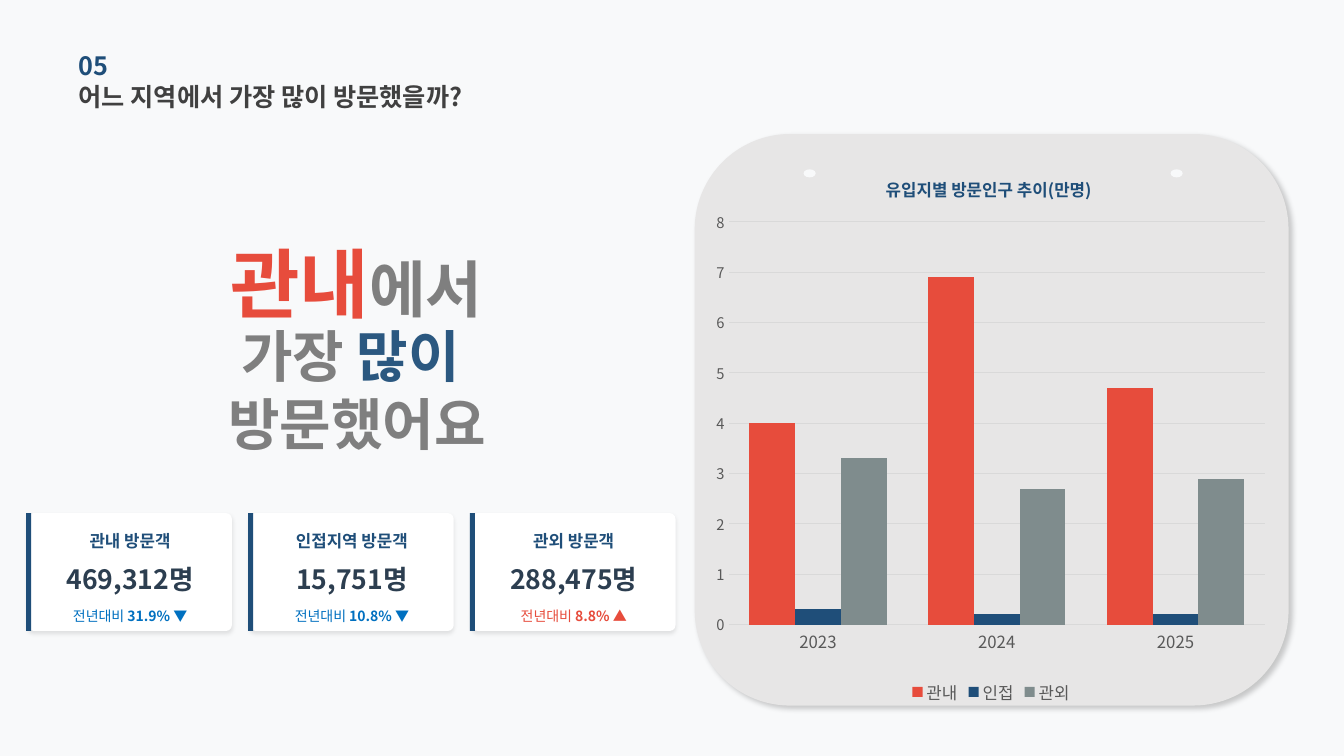
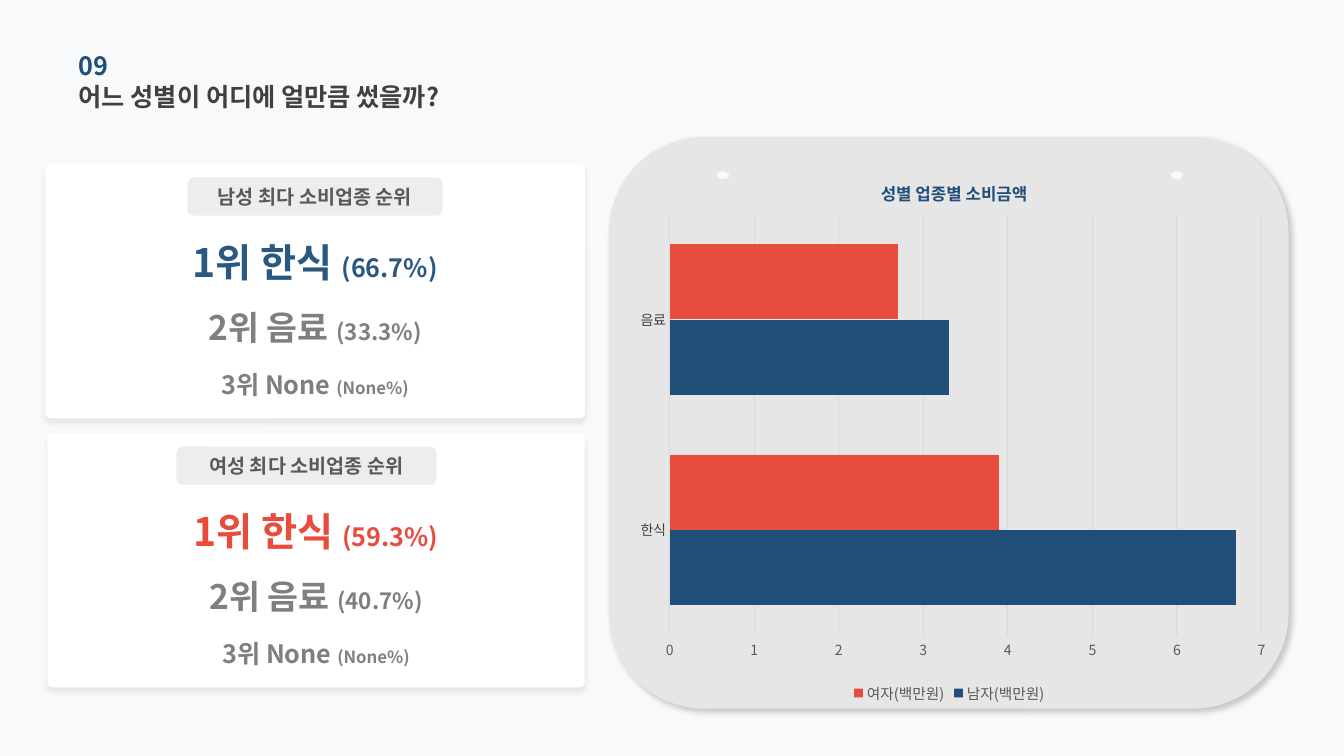
"""Build two visitor-statistics slides: visits by origin and spending by gender."""
from dataclasses import dataclass

from lxml.etree import SubElement
from pptx import Presentation
from pptx.chart.data import CategoryChartData
from pptx.dml.color import RGBColor
from pptx.enum.chart import XL_CHART_TYPE as CHART, XL_LEGEND_POSITION as LEGEND, XL_TICK_MARK as TICK
from pptx.enum.shapes import MSO_SHAPE as SHAPE
from pptx.enum.text import MSO_ANCHOR as ANCHOR, MSO_AUTO_SIZE as AUTO, PP_ALIGN as ALIGN
from pptx.oxml.ns import qn
from pptx.util import Inches, Pt


@dataclass(frozen=True)
class Theme:
    font: str = "Noto Sans CJK KR"
    paper: str = "F8F9FA"
    panel: str = "E7E6E6"
    white: str = "FFFFFF"
    tag: str = "D0CECE"
    heading: str = "404040"
    navy: str = "1F4E79"
    steel: str = "2B5880"
    ink: str = "2C3E50"
    blue: str = "0070C0"
    red: str = "E74C3C"
    slate: str = "7F8C8D"
    gray: str = "7F7F7F"
    label: str = "595959"
    rule: str = "D9D9D9"
    title_size: float = 18
    tag_size: float = 14
    label_size: float = 12
    figure_size: float = 19
    note_size: float = 10


@dataclass(frozen=True)
class Span:
    text: str
    size: float
    colour: str
    bold: bool = True


theme = Theme()


def write(frame, paragraphs, align=ALIGN.CENTER):
    frame.word_wrap = True
    frame.auto_size = AUTO.NONE
    frame.vertical_anchor = ANCHOR.MIDDLE
    frame.margin_left = frame.margin_right = frame.margin_top = frame.margin_bottom = 0
    for index, spans in enumerate(paragraphs):
        para = frame.add_paragraph() if index else frame.paragraphs[0]
        para.alignment = align
        first = spans[0]
        para.font.name = theme.font
        para.font.size = Pt(first.size)
        para.font.bold = first.bold
        para.font.color.rgb = RGBColor.from_string(first.colour)
        for span in spans:
            run = para.add_run()
            run.text = span.text
            if span.size != first.size:
                run.font.size = Pt(span.size)
            if span.bold != first.bold:
                run.font.bold = span.bold
            if span.colour != first.colour:
                run.font.color.rgb = RGBColor.from_string(span.colour)


def add_shape(page, kind, bounds, colour, shadow=None, corner=None, opacity=None):
    shape = page.shapes.add_shape(kind, *map(Inches, bounds))
    shape.shadow.inherit = False
    shape.fill.solid()
    shape.fill.fore_color.rgb = RGBColor.from_string(colour)
    shape.line.fill.background()
    properties = shape.element.spPr
    if corner:
        shape.adjustments[0] = corner
    if opacity:
        tint = properties.find(qn("a:solidFill")).find(qn("a:srgbClr"))
        SubElement(tint, qn("a:alpha"), val=str(opacity * 1000))
    if shadow:
        strength, blur, distance, angle = shadow
        outer = SubElement(properties.find(qn("a:effectLst")), qn("a:outerShdw"),
                           blurRad=str(Pt(blur)), dist=str(Pt(distance)),
                           dir=str(angle * 60000), algn="tl", rotWithShape="0")
        tint = SubElement(outer, qn("a:srgbClr"), val="000000")
        SubElement(tint, qn("a:alpha"), val=str(strength * 1000))
    return shape


deck = Presentation()
deck.slide_width, deck.slide_height = Inches(13.33), Inches(7.5)
backdrop = deck.slide_master.background.fill
backdrop.solid()
backdrop.fore_color.rgb = RGBColor.from_string(theme.paper)

topics = [
    dict(number="05", heading="어느 지역에서 가장 많이 방문했을까?",
         panel=(6.89, 1.33, 5.89, 5.67), holes=(7.97, 11.61), hole_top=1.68,
         kind=CHART.COLUMN_CLUSTERED, chart=(7, 1.48, 5.66, 5.55),
         title="유입지별 방문인구 추이(만명)", title_at=(0.31, 0.04),
         plot_at=(0.04, 0.13, 0.94, 0.72), gap=90, top_value=8,
         category_size=12, value_size=10.5, legend_size=12, category_colour=theme.label,
         categories=["2023", "2024", "2025"],
         series=[("관내", (4, 6.9, 4.7), theme.red),
                 ("인접", (0.3, 0.2, 0.2), theme.navy),
                 ("관외", (3.3, 2.7, 2.9), theme.slate)]),
    dict(number="09", heading="어느 성별이 어디에 얼만큼 썼을까?",
         panel=(6.04, 1.36, 6.74, 5.67), holes=(7.11, 11.61), hole_top=1.7,
         kind=CHART.BAR_CLUSTERED, chart=(6.19, 1.52, 6.45, 5.5),
         title="성별 업종별 소비금액", title_at=(0.39, 0.04),
         plot_at=(0.07, 0.11, 0.91, 0.76), gap=80, top_value=7,
         category_size=10, value_size=10, legend_size=10.5, category_colour=theme.heading,
         categories=["한식", "음료"],
         series=[("남자(백만원)", (6.7, 3.3), theme.navy),
                 ("여자(백만원)", (3.9, 2.7), theme.red)]),
]

pages = []
charts = []
for topic in topics:
    page = deck.slides.add_slide(deck.slide_layouts[5])
    pages.append(page)
    title = page.shapes.title
    title.left, title.top, title.width, title.height = map(Inches, (0.78, 0.75, 5.28, 0.41))
    write(title.text_frame, [[Span(topic["heading"], theme.title_size, theme.heading)]], ALIGN.LEFT)
    number = page.shapes.add_textbox(*map(Inches, (0.78, 0.44, 4.52, 0.41)))
    write(number.text_frame, [[Span(topic["number"], theme.title_size, theme.navy)]], ALIGN.LEFT)
    add_shape(page, SHAPE.ROUNDED_RECTANGLE, topic["panel"], theme.panel, shadow=(20, 4, 3, 45))
    for left in topic["holes"]:
        add_shape(page, SHAPE.OVAL, (left, topic["hole_top"], 0.12, 0.08), theme.paper)

    data = CategoryChartData()
    data.categories = topic["categories"]
    for name, values, colour in topic["series"]:
        data.add_series(name, values)
    chart = page.shapes.add_chart(topic["kind"], *map(Inches, topic["chart"]), data).chart
    charts.append(chart)
    chart.font.name = theme.font
    chart.font.size = Pt(10)
    chart.has_title = True
    caption = chart.chart_title.text_frame
    caption.text = topic["title"]
    chart.has_legend = True
    chart.legend.position = LEGEND.BOTTOM
    chart.legend.include_in_layout = False

    plot = chart.plots[0]
    plot.vary_by_categories = False
    plot.gap_width = topic["gap"]
    plot.overlap = 0
    for series, (name, values, colour) in zip(plot.series, topic["series"]):
        series.format.fill.solid()
        series.format.fill.fore_color.rgb = RGBColor.from_string(colour)

    category_axis, value_axis = chart.category_axis, chart.value_axis
    for axis in (category_axis, value_axis):
        axis.major_tick_mark = axis.minor_tick_mark = TICK.NONE
    value_axis.minimum_scale, value_axis.maximum_scale = 0, topic["top_value"]
    value_axis.major_unit = 1
    value_axis.format.line.fill.background()
    for line in (category_axis.format.line, value_axis.major_gridlines.format.line):
        line.color.rgb = RGBColor.from_string(theme.rule)
        line.width = Pt(0.75)
    for font, size, colour, bold in (
            (caption.paragraphs[0].font, theme.label_size, theme.navy, True),
            (category_axis.tick_labels.font, topic["category_size"], topic["category_colour"], False),
            (value_axis.tick_labels.font, topic["value_size"], theme.label, False),
            (chart.legend.font, topic["legend_size"], theme.label, False)):
        font.name, font.size, font.bold = theme.font, Pt(size), bold
        font.color.rgb = RGBColor.from_string(colour)

    chart_xml = chart.element.find(qn("c:chart"))
    for tag, position, place in (("c:title", 1, topic["title_at"]),
                                 ("c:plotArea", 0, topic["plot_at"])):
        area = chart_xml.find(qn(tag))
        for old_layout in area.findall(qn("c:layout")):
            area.remove(old_layout)
        layout = area.makeelement(qn("c:layout"))
        area.insert(position, layout)
        manual = SubElement(layout, qn("c:manualLayout"))
        if tag == "c:plotArea":
            SubElement(manual, qn("c:layoutTarget"), val="inner")
        for mode in ("xMode", "yMode"):
            SubElement(manual, qn(f"c:{mode}"), val="edge")
        for side, share in zip("xywh", place):
            SubElement(manual, qn(f"c:{side}"), val=str(share))

visits, spending = pages

slogans = [
    ((1.39, 2.56, 4.29, 0.48), [[Span("관내", 54, theme.red), Span("에서", 44, theme.gray)]]),
    ((0.78, 3.44, 5.52, 0.84), [[Span("가장", 40, theme.gray), Span(" 많이 ", 40, theme.steel)],
                                [Span("방문했어요", 40, theme.gray)]]),
]
for bounds, paragraphs in slogans:
    write(visits.shapes.add_textbox(*map(Inches, bounds)).text_frame, paragraphs)

cards = [
    ("관내 방문객", "469,312명", "31.9% ▼", theme.blue),
    ("인접지역 방문객", "15,751명", "10.8% ▼", theme.blue),
    ("관외 방문객", "288,475명", "8.8% ▲", theme.red),
]
for index, (name, figure, change, colour) in enumerate(cards):
    left = 0.28 + 2.2 * index
    add_shape(visits, SHAPE.ROUNDED_RECTANGLE, (left, 5.09, 2.02, 1.17), theme.white,
              shadow=(10, 3, 2, 90), corner=0.05)
    add_shape(visits, SHAPE.RECTANGLE, (left - 0.02, 5.09, 0.05, 1.17), theme.navy)
    rows = [
        (5.25, 0.22, [Span(name, theme.label_size, theme.navy)]),
        (5.57, 0.34, [Span(figure, theme.figure_size, theme.ink)]),
        (6.01, 0.2, [Span("전년대비 ", theme.note_size, colour, False),
                     Span(change, theme.note_size, colour)]),
    ]
    for top, height, spans in rows:
        box = visits.shapes.add_textbox(*map(Inches, (left, top, 2.02, height)))
        write(box.text_frame, [spans])

rankings = [
    ("남성 최다 소비업종 순위", (0.45, 1.63, 5.35, 2.52), (1.86, 2.53), theme.steel, "(66.7%)", "(33.3%)"),
    ("여성 최다 소비업종 순위", (0.47, 4.3, 5.33, 2.52), (1.75, 2.58), theme.red, "(59.3%)", "(40.7%)"),
]
for name, panel, (tag_left, tag_width), colour, first_share, second_share in rankings:
    left, top, width, height = panel
    add_shape(spending, SHAPE.ROUNDED_RECTANGLE, panel, theme.white,
              shadow=(8, 4, 3, 90), corner=0.02)
    tag = add_shape(spending, SHAPE.ROUNDED_RECTANGLE, (tag_left, top + 0.13, tag_width, 0.38),
                    theme.tag, opacity=36)
    write(tag.text_frame, [[Span(name, theme.tag_size, theme.label)]])
    ranks = [
        (0.73, 0.48, Span("1위 한식 ", 28, colour), Span(first_share, 18, colour)),
        (1.19, 0.84, Span("2위 음료 ", 24, theme.gray), Span(second_share, 16, theme.gray)),
        (1.76, 0.84, Span("3위 None ", 18, theme.gray), Span("(None%)", 12, theme.gray)),
    ]
    for offset, line_height, item, share in ranks:
        box = spending.shapes.add_textbox(*map(Inches, (left, top + offset, width, line_height)))
        write(box.text_frame, [[item, share]])

for root in [page.element for page in pages] + [chart.element for chart in charts]:
    for latin in list(root.iter(qn("a:latin"))):
        latin.addnext(latin.makeelement(qn("a:ea"), typeface=theme.font))

deck.save("out.pptx")
